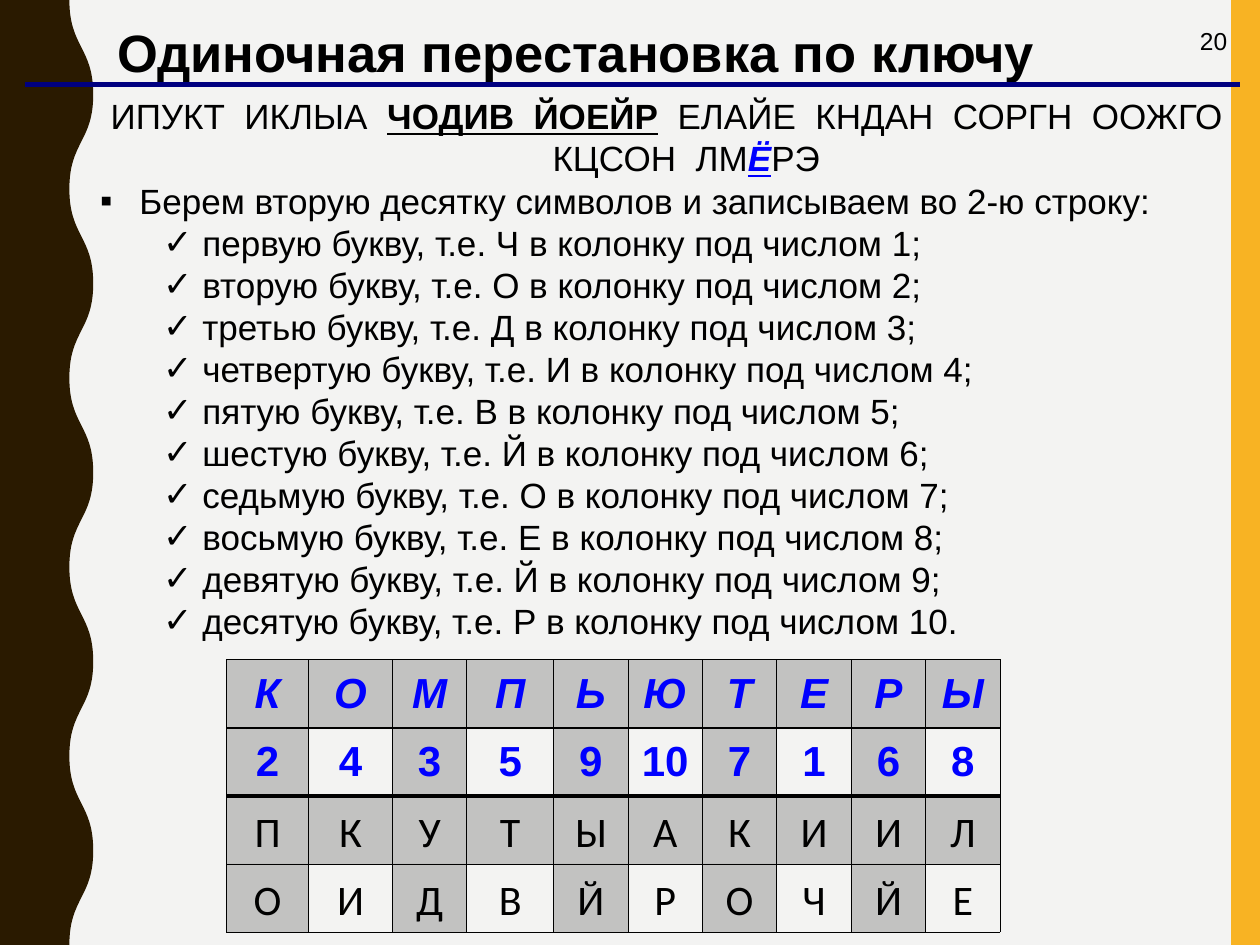
from lxml.etree import SubElement
from pptx import Presentation
from pptx.dml.color import RGBColor
from pptx.enum.shapes import MSO_CONNECTOR, MSO_SHAPE
from pptx.enum.text import MSO_ANCHOR, PP_ALIGN as Align
from pptx.oxml.ns import qn
from pptx.util import Cm, Pt

BLACK = RGBColor(0, 0, 0)
BLUE = RGBColor(0, 0, 0xFF)
NAVY = RGBColor(0, 0, 0x80)
AMBER = RGBColor(0xF8, 0xB3, 0x23)
BROWN = RGBColor(0x2A, 0x1A, 0)
PAPER = RGBColor(0xF3, 0xF3, 0xF2)

WIDTH, HEIGHT = 25.4, 19.05  # cm
THIN, MEDIUM, THICK = 0.45, 1.08, 2.21  # table borders, pt

CIPHER_RUNS = [  # text, bold, italic, underline, colour
    ("ИПУКТ  ИКЛЫА  ", False, False, False, BLACK),
    ("ЧОДИВ  ЙОЕЙР", True, False, True, BLACK),
    ("  ЕЛАЙЕ  КНДАН  СОРГН  ООЖГО КЦСОН  ЛМ", False, False, False, BLACK),
    ("Ё", True, True, True, BLUE),
    ("РЭ", False, False, False, BLACK),
]
ORDINALS = ["первую", "вторую", "третью", "четвертую", "пятую", "шестую",
            "седьмую", "восьмую", "девятую", "десятую"]
LETTERS = "ЧОДИВЙОЕЙР"
KEY_TABLE = [
    list("КОМПЬЮТЕРЫ"),
    ["2", "4", "3", "5", "9", "10", "7", "1", "6", "8"],
    list("ПКУТЫАКИИЛ"),
    list("ОИДВЙРОЧЙЕ"),
]
COLUMN_WIDTHS = [1.65, 1.69, 1.5, 1.75] + [1.5] * 6


def style_font(font, size, color=BLACK, bold=False, italic=False, name="Arial"):
    font.name, font.size = name, Pt(size)
    font.bold, font.italic = bold, italic
    font.color.rgb = color


def paint(shape, color):
    shape.shadow.inherit = False
    shape.fill.solid()
    shape.fill.fore_color.rgb = color
    shape.line.fill.background()


def add_wave(slide):
    """Brown left band whose right edge swings ten times down the slide."""
    xs = (Cm(1.4), Cm(1.88))
    swings = 10
    half = Cm(HEIGHT / swings)
    edge = [(xs[i % 2], half * i) for i in range(swings + 1)]
    builder = slide.shapes.build_freeform(Cm(0), Cm(0))
    builder.add_line_segments([*edge, (Cm(0), half * swings)])
    wave = builder.convert_to_shape()
    # Bend the straight pieces of the edge into S-curves
    pieces = list(wave._element.iter(qn("a:lnTo")))[1:swings + 1]
    for piece, (x1, y1), (x2, y2) in zip(pieces, edge, edge[1:]):
        middle = (y1 + y2) // 2
        piece.tag = qn("a:cubicBezTo")
        for x in (x2, x1):
            control = piece.makeelement(qn("a:pt"), x=str(x), y=str(middle))
            piece.insert(0, control)
    paint(wave, BROWN)


def add_text_box(slide, left, top, width, height):
    box = slide.shapes.add_textbox(Cm(left), Cm(top), Cm(width), Cm(height))
    box.text_frame.word_wrap = True
    return box.text_frame


def add_rule(slide):
    rule = slide.shapes.add_connector(
        MSO_CONNECTOR.STRAIGHT, Cm(0.5), Cm(1.7), Cm(25), Cm(1.7))
    rule.line.color.rgb = NAVY
    rule.line.width = Pt(3)
    SubElement(rule._element.spPr, qn("a:effectLst"))


def set_title(slide, text):
    title = slide.shapes.title
    title.left, title.top, title.width, title.height = (
        Cm(2.12), Cm(0.28), Cm(22.86), Cm(1.52))
    title.text_frame.text = text
    title.text_frame.vertical_anchor = MSO_ANCHOR.TOP
    paragraph = title.text_frame.paragraphs[0]
    paragraph.alignment = Align.LEFT
    style_font(paragraph.font, 30, bold=True)


def indent(paragraph, level, margin, bullet=None):
    paragraph.level = level
    properties = paragraph._p.get_or_add_pPr()
    properties.set("marL", str(Cm(margin)))
    properties.set("indent", str(Cm(-0.79)))
    if bullet:
        SubElement(properties, qn("a:buFont"), typeface="Arial")
        SubElement(properties, qn("a:buChar"), char=bullet)


def add_bullet(frame, text, level, margin, bullet):
    paragraph = frame.add_paragraph()
    indent(paragraph, level, margin, bullet)
    paragraph.text = text
    style_font(paragraph.font, 20)


def add_steps(slide):
    frame = add_text_box(slide, 0.5, 1.79, 24.61, 11.28)
    cipher = frame.paragraphs[0]
    indent(cipher, 1, 2.06)
    cipher.alignment = Align.CENTER
    for text, bold, italic, underline, color in CIPHER_RUNS:
        run = cipher.add_run()
        run.text = text
        style_font(run.font, 20, color, bold, italic)
        run.font.underline = underline
    add_bullet(frame, "Берем вторую десятку символов и записываем во 2-ю строку:",
               1, 2.06, "▪")
    for number, (ordinal, letter) in enumerate(zip(ORDINALS, LETTERS), 1):
        ending = "." if number == len(ORDINALS) else ";"
        add_bullet(frame, f"{ordinal} букву, т.е. {letter} в колонку под числом "
                   f"{number}{ending}", 2, 3.33, "✓")
    for paragraph in frame.paragraphs:
        paragraph.line_spacing = Pt(24)


def set_borders(cell, **widths):
    properties = cell._tc.get_or_add_tcPr()
    for side, width in widths.items():
        line = SubElement(properties, qn(f"a:ln{side}"), w=str(Pt(width)))
        fill = SubElement(line, qn("a:solidFill"))
        SubElement(fill, qn("a:srgbClr"), val=str(BLACK))


def shade(cell, shaded):
    if not shaded:
        cell.fill.background()
        return
    cell.fill.solid()
    cell.fill.fore_color.rgb = BLACK
    color = cell._tc.tcPr.find(f"{qn('a:solidFill')}/{qn('a:srgbClr')}")
    SubElement(color, qn("a:alpha"), val="20000")


def add_key_table(slide):
    row_height = 1.12
    table = slide.shapes.add_table(
        len(KEY_TABLE), len(COLUMN_WIDTHS), Cm(4.57), Cm(13.3),
        Cm(sum(COLUMN_WIDTHS)), Cm(row_height * len(KEY_TABLE))).table
    table.first_row = table.horz_banding = False
    for column, width in zip(table.columns, COLUMN_WIDTHS):
        column.width = Cm(width)
    edges = [THIN, MEDIUM, THICK, THIN, THIN]
    for row, values in enumerate(KEY_TABLE):
        for column, value in enumerate(values):
            cell = table.cell(row, column)
            cell.margin_left = cell.margin_right = Cm(0.18)
            cell.text = value
            paragraph = cell.text_frame.paragraphs[0]
            paragraph.alignment = Align.CENTER
            paragraph.line_spacing = 1.1
            if row < 2:  # key word and its numbers
                style_font(paragraph.font, 24, BLUE, True, row == 0)
            else:
                style_font(paragraph.font, 24, name="Calibri")
            set_borders(cell, L=THIN, R=THIN, T=edges[row], B=edges[row + 1])
            shade(cell, row % 2 == 0 or column % 2 == 0)


def main():
    presentation = Presentation()
    presentation.slide_width, presentation.slide_height = Cm(WIDTH), Cm(HEIGHT)
    slide = presentation.slides.add_slide(presentation.slide_layouts[5])
    slide.background.fill.solid()
    slide.background.fill.fore_color.rgb = PAPER

    # Side bands
    band = slide.shapes.add_shape(
        MSO_SHAPE.RECTANGLE, Cm(24.82), Cm(0), Cm(0.58), Cm(HEIGHT))
    paint(band, AMBER)
    add_wave(slide)

    # Heading and page number
    number = add_text_box(slide, 19.07, 0.39, 5.92, 1.32).paragraphs[0]
    number.text = "20"
    number.alignment = Align.RIGHT
    style_font(number.font, 14)
    add_rule(slide)
    set_title(slide, "Одиночная перестановка по ключу")

    # Content
    add_steps(slide)
    add_key_table(slide)
    presentation.save("out.pptx")


if __name__ == "__main__":
    main()
